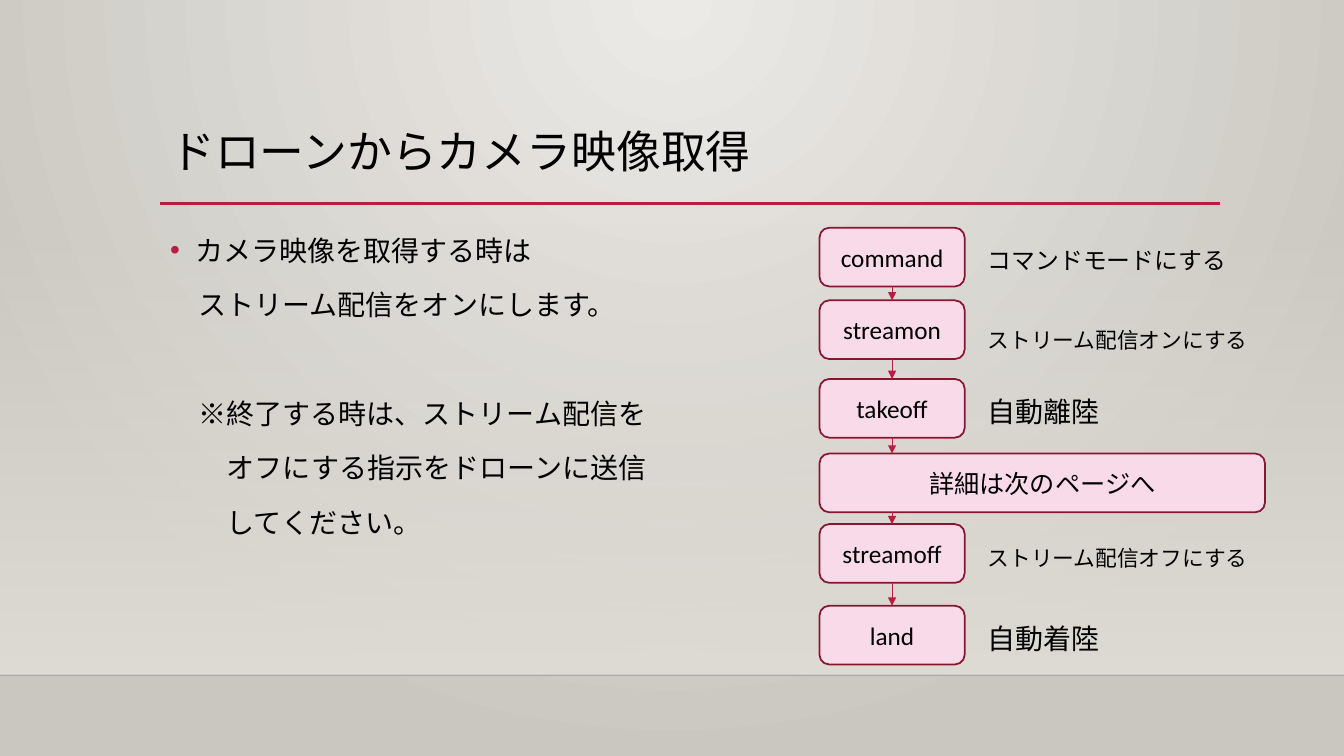
from dataclasses import dataclass

from lxml.etree import SubElement
from pptx import Presentation
from pptx.dml.color import RGBColor
from pptx.enum.shapes import MSO_CONNECTOR as Link, MSO_SHAPE as Preset
from pptx.enum.text import MSO_ANCHOR as Anchor, PP_ALIGN as Align
from pptx.oxml.ns import qn
from pptx.util import Inches, Pt


@dataclass(frozen=True)
class Theme:
    font: str = "Calibri"
    ink: str = "000000"
    accent: str = "B71E42"
    step_fill: str = "F8DAE8"
    step_line: str = "871631"
    glow: str = "ECEAE7"
    edge: str = "CAC7C1"
    wall: str = "DFDBD5"
    floor_line: str = "000001"
    title: float = 32
    body: float = 20
    step: float = 18
    label: float = 17
    small: float = 15.5


THEME = Theme()
WIDTH, HEIGHT = Inches(13.33), Inches(7.5)
COLUMNS, ROWS = 40, 30

STEP_LEFT, STEP_WIDTH, STEP_HEIGHT = 24.39, 4.32, 2.33
WIDE_STEP = 13.26
STEPS = [
    ("command", 9.04, STEP_WIDTH),
    ("streamon", 11.92, STEP_WIDTH),
    ("takeoff", 15.04, STEP_WIDTH),
    ("詳細は次のページへ", 18, WIDE_STEP),
    ("streamoff", 20.8, STEP_WIDTH),
    ("land", 24.04, STEP_WIDTH),
]
LABEL_LEFT, LABEL_WIDTH, LABEL_HEIGHT = 29.1, 8.94, 2
LABELS = [
    ("コマンドモードにする", 9.44, THEME.label, 1.1),
    ("ストリーム配信オンにする", 12.76, THEME.small, 1),
    ("自動離陸", 15.2, THEME.body, 1.2),
    ("ストリーム配信オフにする", 21.44, THEME.small, 1),
    ("自動着陸", 24.2, THEME.body, 1.2),
]
BODY = [
    ("カメラ映像を取得する時は", 0.25, 10),
    ("ストリーム配信をオンにします。", 0.28, 10),
    ("※終了する時は、ストリーム配信を", 0.28, 49),
    ("オフにする指示をドローンに送信", 0.56, 10),
    ("してください。", 0.56, 10),
]


def column(count):
    return round(WIDTH * count / COLUMNS)


def row(count):
    return round(HEIGHT * count / ROWS)


def area(left, top, width, height):
    return column(left), row(top), column(width), row(height)


def color(value):
    return RGBColor.from_string(value)


def set_gradient(fill, start, end):
    fill.gradient()
    for stop, value in zip(fill.gradient_stops, (start, end)):
        stop.color.rgb = color(value)


def set_alpha(parent, percent):
    tint = next(parent.iter(qn("a:srgbClr")))
    SubElement(tint, qn("a:alpha"), val=str(percent * 1000))


def add_span(para, text, size):
    span = para.add_run()
    span.text = text
    span.font.name = THEME.font
    span.font.size = Pt(size)
    span.font.color.rgb = color(THEME.ink)


def set_spacing(para, lines, before):
    para.line_spacing = lines
    para.space_before = Pt(before)


def add_text(page, place, text, size, lines, before):
    frame = page.shapes.add_textbox(*place).text_frame
    frame.word_wrap = True
    para = frame.paragraphs[0]
    set_spacing(para, lines, before)
    add_span(para, text, size)


def add_bullet(props):
    tint = SubElement(props, qn("a:buClr"))
    SubElement(tint, qn("a:srgbClr"), val=THEME.accent)
    SubElement(props, qn("a:buFont"), typeface="Arial")
    SubElement(props, qn("a:buChar"), char="•")


def add_body(page):
    frame = page.shapes.add_textbox(*area(4.77, 8.8, 17.4, 15.08)).text_frame
    frame.word_wrap = True
    for index, (text, margin, before) in enumerate(BODY):
        para = frame.add_paragraph() if index else frame.paragraphs[0]
        set_spacing(para, 1.2, before)
        props = para._p.get_or_add_pPr()
        props.set("marL", str(Inches(margin)))
        props.set("indent", str(0 if index else -Inches(margin)))
        if index == 0:
            add_bullet(props)
        add_span(para, text, THEME.body)


def add_line(page, start, end, tint, weight):
    line = page.shapes.add_connector(Link.STRAIGHT, *start, *end)
    line.line.color.rgb = color(tint)
    line.line.width = Pt(weight)
    SubElement(line._element.spPr, qn("a:effectLst"))
    return line


def add_step(page, text, top, width):
    place = area(STEP_LEFT, top, width, STEP_HEIGHT)
    box = page.shapes.add_shape(Preset.ROUNDED_RECTANGLE, *place)
    box.shadow.inherit = False
    box.fill.solid()
    box.fill.fore_color.rgb = color(THEME.step_fill)
    box.line.color.rgb = color(THEME.step_line)
    box.line.width = Pt(1.25)
    box.text_frame.word_wrap = True
    box.text_frame.vertical_anchor = Anchor.MIDDLE
    para = box.text_frame.paragraphs[0]
    para.alignment = Align.CENTER
    add_span(para, text, THEME.step)
    return box


def add_arrow(page, upper, lower):
    center = column(STEP_LEFT + STEP_WIDTH / 2)
    start, end = (center, upper.top + upper.height), (center, lower.top)
    arrow = add_line(page, start, end, THEME.accent, 0.75)
    SubElement(arrow.line._get_or_add_ln(), qn("a:tailEnd"), type="triangle")
    narrow = column(STEP_WIDTH)
    if upper.width == narrow:
        arrow.begin_connect(upper, 2)
    if lower.width == narrow:
        arrow.end_connect(lower, 0)


def add_backdrop(page):
    fill = page.background.fill
    set_gradient(fill, THEME.glow, THEME.edge)
    gradient = next(page._element.iter(qn("a:gradFill")))
    gradient.remove(gradient.find(qn("a:lin")))
    circle = SubElement(gradient, qn("a:path"), path="circle")
    SubElement(circle, qn("a:fillToRect"), l="43000", t="0", r="43000", b="100000")

    wall = page.shapes.add_shape(Preset.RECTANGLE, *area(0, 8.84, COLUMNS, 17.96))
    wall.shadow.inherit = False
    wall.line.fill.background()
    set_gradient(wall.fill, THEME.wall, THEME.wall)
    wall.fill.gradient_angle = 270
    set_alpha(wall._element.spPr, 0)

    floor = row(26.8)
    edge = add_line(page, (0, floor), (WIDTH, floor), THEME.floor_line, 1)
    set_alpha(edge._element.spPr, 20)


def main():
    deck = Presentation()
    deck.slide_width, deck.slide_height = WIDTH, HEIGHT
    page = deck.slides.add_slide(deck.slide_layouts[6])
    add_backdrop(page)
    rule = row(8.08)
    add_line(page, (column(4.77), rule), (column(36.3), rule), THEME.accent, 2.5)
    title_place = area(4.77, 4.96, 31.5, 3.16)
    add_text(page, title_place, "ドローンからカメラ映像取得", THEME.title, 0.9, 0)
    add_body(page)
    boxes = [add_step(page, *step) for step in STEPS]
    for upper, lower in zip(boxes, boxes[1:]):
        add_arrow(page, upper, lower)
    for text, top, size, lines in LABELS:
        place = area(LABEL_LEFT, top, LABEL_WIDTH, LABEL_HEIGHT)
        add_text(page, place, text, size, lines, 10)
    deck.save("out.pptx")


if __name__ == "__main__":
    main()
